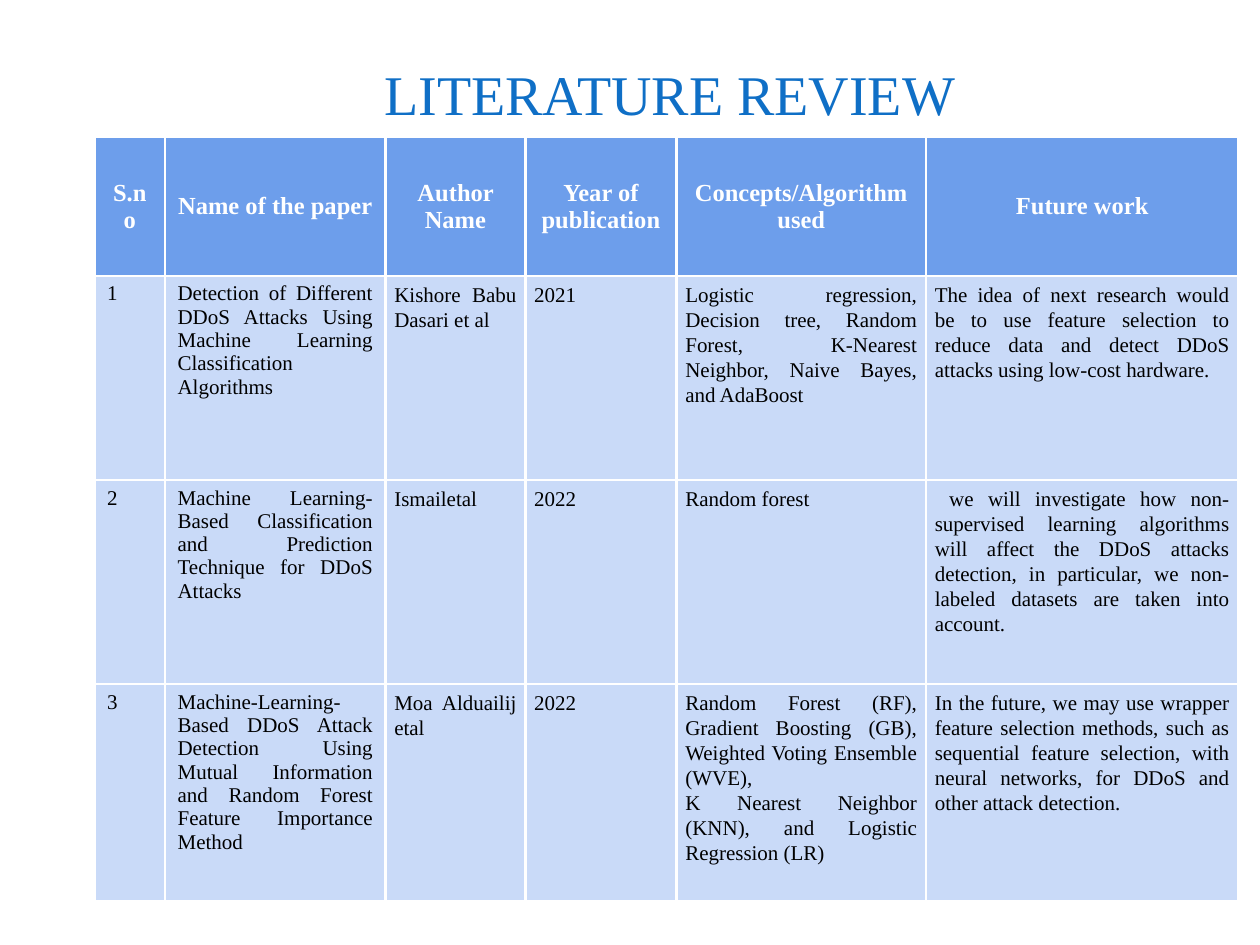
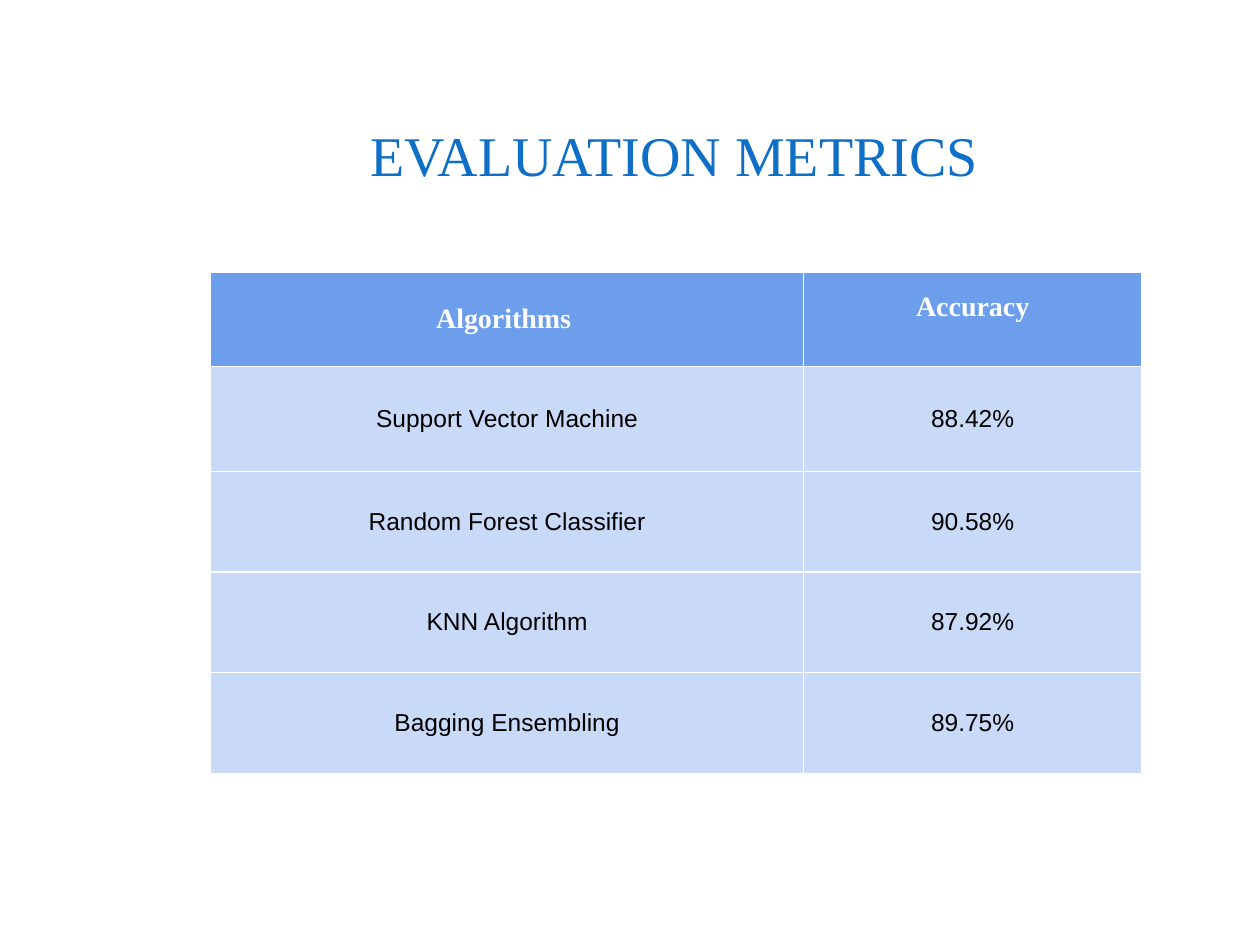
from lxml import etree
from pptx import Presentation
from pptx.dml.color import RGBColor
from pptx.enum.text import MSO_ANCHOR, MSO_AUTO_SIZE, PP_ALIGN
from pptx.oxml.ns import qn
from pptx.util import Inches, Pt

COLORS = {
    "title": "0F6FC6",
    "header": "6D9EEB",
    "body": "C9DAF8",
    "border": "FFFFFF",
    "header_text": "FFFFFF",
    "body_text": "000000",
}
SERIF = "Times New Roman"
SANS = "Arial"

PAPERS = [
    ["S.no", "Name of the paper", "Author Name", "Year of publication",
     "Concepts/Algorithm used", "Future work"],
    ["1",
     "Detection of Different DDoS Attacks Using Machine Learning "
     "Classification Algorithms",
     "Kishore Babu Dasari et al",
     "2021",
     "Logistic regression, Decision tree, Random Forest, K-Nearest Neighbor, "
     "Naive Bayes, and AdaBoost",
     "The idea of next research would be to use feature selection to reduce "
     "data and detect DDoS attacks using low-cost hardware."],
    ["2",
     "Machine Learning-Based Classification and Prediction Technique for "
     "DDoS Attacks",
     "Ismailetal",
     "2022",
     "Random forest",
     " we will investigate how non-supervised learning algorithms will affect "
     "the DDoS attacks detection, in particular, we non-labeled datasets are "
     "taken into account."],
    ["3",
     "Machine-Learning-Based DDoS Attack Detection Using Mutual Information "
     "and Random Forest Feature Importance Method",
     "Moa Alduailij etal",
     "2022",
     "Random Forest (RF), Gradient Boosting (GB), Weighted Voting Ensemble "
     "(WVE),\nK Nearest Neighbor (KNN), and Logistic Regression (LR)",
     "In the future, we may use wrapper feature selection methods, such as "
     "sequential feature selection, with neural networks, for DDoS and other "
     "attack detection."],
]

ACCURACIES = [
    ["Algorithms ", "Accuracy"],
    ["Support Vector Machine", "88.42%"],
    ["Random Forest Classifier", "90.58%"],
    ["KNN Algorithm", "87.92%"],
    ["Bagging Ensembling", "89.75%"],
]


def rgb(name):
    return RGBColor.from_string(COLORS[name])


def add_titled_slide(prs, title, left, top):
    s = prs.slides.add_slide(prs.slide_layouts[5])
    sp = s.shapes.title
    sp.left, sp.top = Inches(left), Inches(top)
    sp.width, sp.height = Inches(5.5), Inches(0.51)
    tf = sp.text_frame
    tf.text = title
    tf.auto_size = MSO_AUTO_SIZE.NONE
    tf.vertical_anchor = MSO_ANCHOR.TOP
    tf.margin_left = tf.margin_top = tf.margin_right = tf.margin_bottom = 0
    p = tf.paragraphs[0]
    p.alignment = PP_ALIGN.LEFT
    style_font(p.font, SERIF, 32, "title")
    return s


def style_font(font, name, size, color, bold=False):
    font.name = name
    font.size = Pt(size)
    font.bold = bold
    font.color.rgb = rgb(color)


def set_borders(cell, width):
    tc_pr = cell._tc.get_or_add_tcPr()
    for i, side in enumerate(("lnL", "lnR", "lnT", "lnB")):
        ln = etree.Element(qn(f"a:{side}"), w=str(Pt(width)))
        fill = etree.SubElement(ln, qn("a:solidFill"))
        etree.SubElement(fill, qn("a:srgbClr"), val=COLORS["border"])
        tc_pr.insert(i, ln)


def format_cell(cell, text, kind, font, size, align, anchor):
    """Fill a cell in the "header" or "body" style."""
    cell.text = text
    cell.vertical_anchor = anchor
    cell.fill.solid()
    cell.fill.fore_color.rgb = rgb(kind)
    for p in cell.text_frame.paragraphs:
        p.alignment = align
        style_font(p.font, font, size, f"{kind}_text", kind == "header")


def add_grid(s, rows, left, top, widths, heights, border, header_size,
             body_font, body_size, body_align, body_anchor):
    frame = s.shapes.add_table(
        len(rows), len(widths), Inches(left), Inches(top),
        Inches(sum(widths)), Inches(sum(heights)))
    table = frame.table
    for column, width in zip(table.columns, widths):
        column.width = Inches(width)
    for row, height in zip(table.rows, heights):
        row.height = Inches(height)
    for r, texts in enumerate(rows):
        for c, text in enumerate(texts):
            cell = table.cell(r, c)
            if r == 0:
                format_cell(cell, text, "header", SERIF, header_size,
                            PP_ALIGN.CENTER, MSO_ANCHOR.MIDDLE)
            else:
                format_cell(cell, text, "body", body_font, body_size,
                            body_align, body_anchor)
            set_borders(cell, border)
    return table


def add_literature_review(prs):
    s = add_titled_slide(prs, "LITERATURE REVIEW", 3.05, 0.47)
    table = add_grid(
        s, PAPERS, 0.75, 1.09,
        widths=[0.56, 1.75, 1.11, 1.2, 1.98, 2.48],
        heights=[1.1, 1.62, 1.62, 1.72],
        border=1.5, header_size=14, body_font=SERIF, body_size=12,
        body_align=PP_ALIGN.JUSTIFY, body_anchor=MSO_ANCHOR.TOP)
    for r in range(1, len(PAPERS)):
        for c in range(2, len(PAPERS[0])):
            cell = table.cell(r, c)
            cell.margin_left = cell.margin_right = Inches(0.07)
            for p in cell.text_frame.paragraphs:
                p.line_spacing = 1.07


def add_evaluation_metrics(prs):
    s = add_titled_slide(prs, "EVALUATION METRICS", 2.94, 0.96)
    table = add_grid(
        s, ACCURACIES, 1.67, 2.16,
        widths=[4.71, 2.68], heights=[0.75, 0.83, 0.8, 0.8, 0.8],
        border=0.75, header_size=16, body_font=SANS, body_size=14,
        body_align=PP_ALIGN.CENTER, body_anchor=MSO_ANCHOR.MIDDLE)
    # The accuracy heading sits above the middle of its row.
    table.cell(0, 1).margin_bottom = Inches(0.25)


def main():
    prs = Presentation()
    prs.slide_width, prs.slide_height = Inches(10), Inches(7.5)
    add_literature_review(prs)
    add_evaluation_metrics(prs)
    prs.save("out.pptx")


if __name__ == "__main__":
    main()
